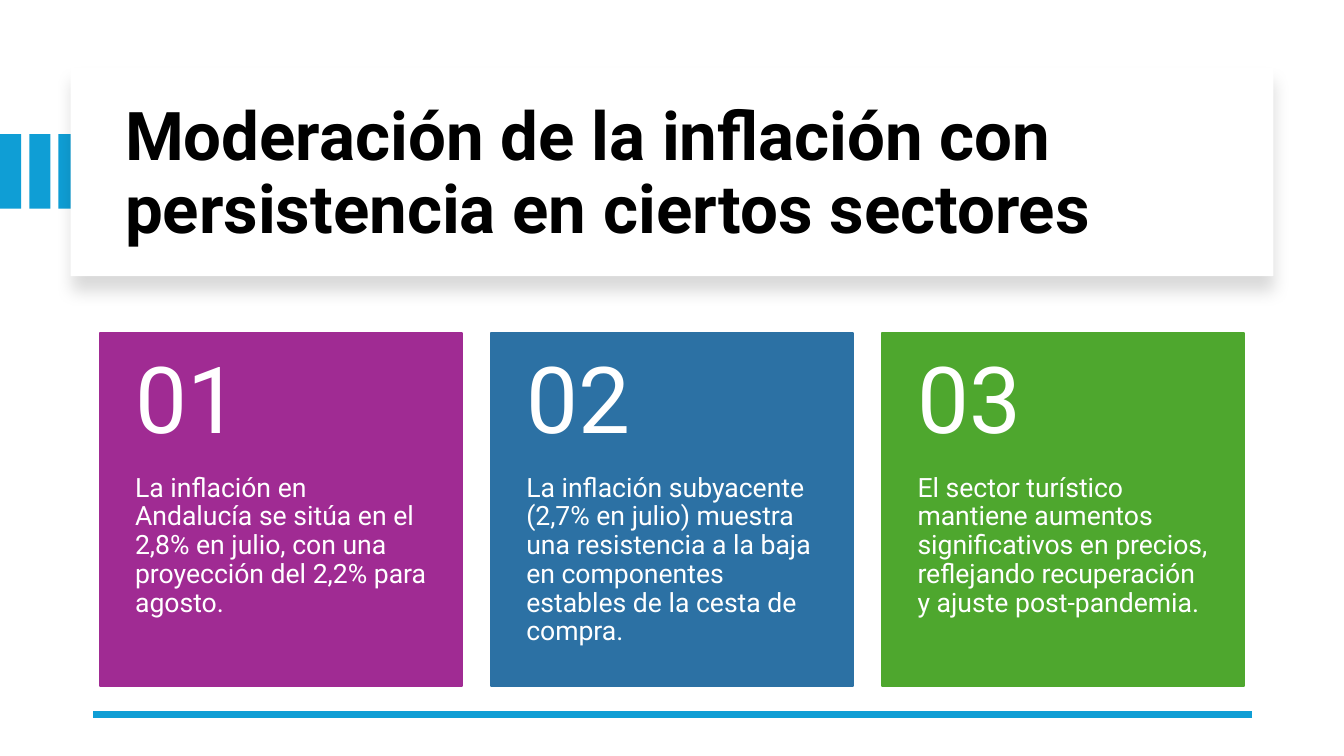
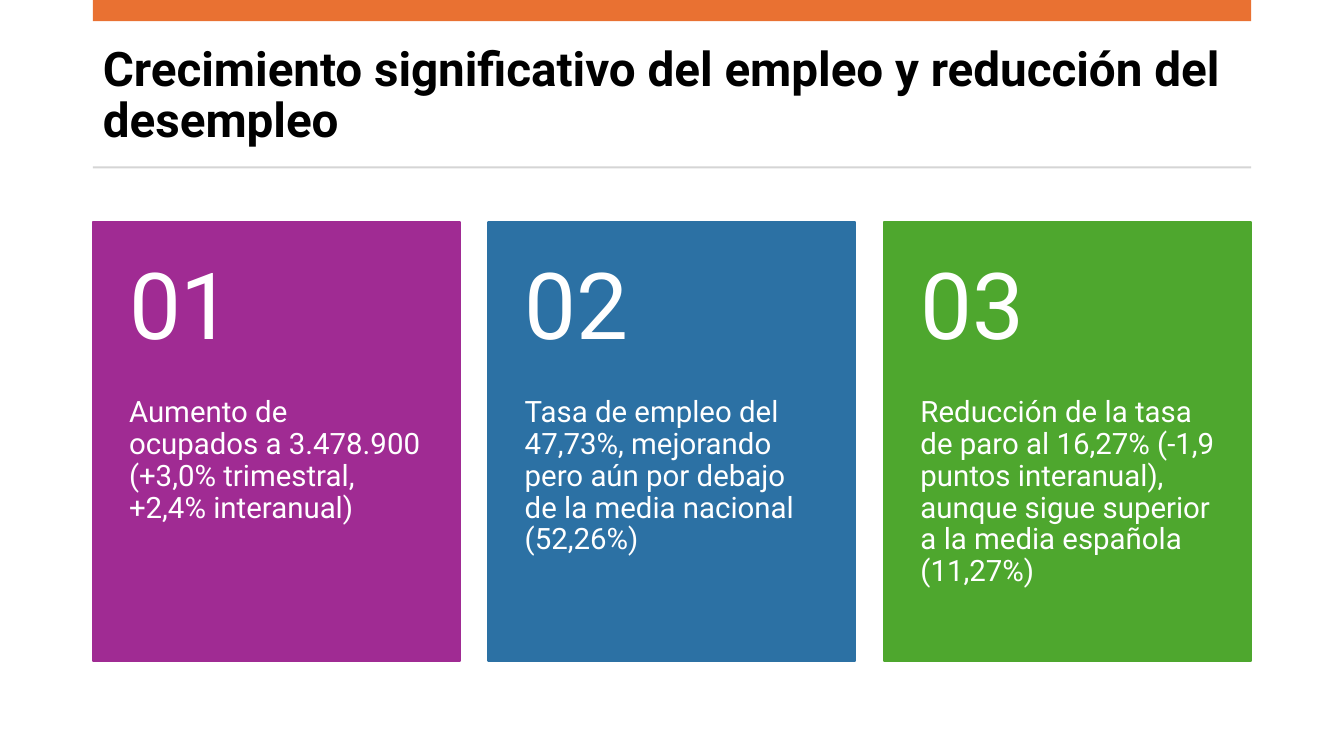
from lxml import etree
from pptx import Presentation
from pptx.dml.color import RGBColor
from pptx.enum.shapes import MSO_CONNECTOR, MSO_SHAPE
from pptx.enum.text import MSO_ANCHOR, MSO_AUTO_SIZE, PP_ALIGN
from pptx.oxml import parse_xml
from pptx.oxml.ns import qn
from pptx.util import Inches, Pt

RECTANGLE, STRAIGHT = MSO_SHAPE.RECTANGLE, MSO_CONNECTOR.STRAIGHT
TOP, MIDDLE = MSO_ANCHOR.TOP, MSO_ANCHOR.MIDDLE
LEFT, NO_AUTOFIT = PP_ALIGN.LEFT, MSO_AUTO_SIZE.NONE

# Shared style
FONT = "Roboto"
color = RGBColor.from_string
BLACK, WHITE, GRAY = "000000", "FFFFFF", "D5D5D5"
BLUE, ORANGE = "0F9ED5", "E97132"
CARD_COLORS = ["A02B93", "2C71A4", "4EA72E"]
NUMBER_SHARE = 0.4
PANEL_SHADOW = (
    '<a:effectLst xmlns:a="http://schemas.openxmlformats.org/drawingml/2006/main">'
    '<a:outerShdw blurRad="139700" dist="127000" dir="5400000" rotWithShape="0">'
    '<a:srgbClr val="000000"><a:alpha val="15000"/></a:srgbClr>'
    '</a:outerShdw></a:effectLst>'
)

SLIDES = [
    {
        "title": "Moderación de la inflación con persistencia en ciertos sectores",
        "title_box": (1.14, 0.89, 11.13, 1.7),
        "title_size": 48,
        "cards_box": (0.99, 3.3, 11.35, 3.51),
        "card_width": 3.59,
        "inset": 0.35,
        "text_size": 19,
        "cards": [
            "La inflación en Andalucía se sitúa en el 2,8% en julio, con una proyección del 2,2% para agosto.",
            "La inflación subyacente (2,7% en julio) muestra una resistencia a la baja en componentes "
            "estables de la cesta de compra.",
            "El sector turístico mantiene aumentos significativos en precios, reflejando recuperación "
            "y ajuste post-pandemia.",
        ],
    },
    {
        "title": "Crecimiento significativo del empleo y reducción del desempleo",
        "title_box": (0.92, 0.37, 11.49, 1.18),
        "title_size": 34,
        "cards_box": (0.92, 2.2, 11.49, 4.36),
        "card_width": 3.64,
        "inset": 0.36,
        "text_size": 21,
        "cards": [
            "Aumento de ocupados a 3.478.900 (+3,0% trimestral, +2,4% interanual)",
            "Tasa de empleo del 47,73%, mejorando pero aún por debajo de la media nacional (52,26%)",
            "Reducción de la tasa de paro al 16,27% (-1,9 puntos interanual), aunque sigue superior "
            "a la media española (11,27%)",
        ],
    },
]


def add_rectangle(shapes, box, fill, outlined=False):
    shape = shapes.add_shape(RECTANGLE, *map(Inches, box))
    shape.shadow.inherit = False
    shape.fill.solid()
    shape.fill.fore_color.rgb = color(fill)
    if outlined:
        shape.line.color.rgb = color(fill)
        shape.line.width = Pt(1.5)
    else:
        shape.line.fill.background()
    return shape


def write_text(shape, text, size, text_color, anchor, insets, bold=False):
    frame = shape.text_frame
    margins = ("margin_left", "margin_top", "margin_right", "margin_bottom")
    frame_format = {"word_wrap": True, "auto_size": NO_AUTOFIT, "vertical_anchor": anchor}
    frame_format.update(zip(margins, map(Inches, insets)))
    for name, value in frame_format.items():
        setattr(frame, name, value)
    paragraph = frame.paragraphs[0]
    paragraph.alignment = LEFT
    paragraph.line_spacing = 0.9
    run = paragraph.add_run()
    run.text = text
    for name, value in {"name": FONT, "size": Pt(size), "bold": bold}.items():
        setattr(run.font, name, value)
    run.font.color.rgb = color(text_color)


presentation = Presentation()
presentation.slide_width = Inches(13.33)
presentation.slide_height = Inches(7.5)
title_only = presentation.slide_layouts[5]
slides = [presentation.slides.add_slide(title_only) for content in SLIDES]
inflation, employment = slides

# Inflation slide: blue bars, shadowed title panel, bottom line
for index in range(3):
    add_rectangle(inflation.shapes, (index * 0.29, 1.33, 0.21, 0.74), BLUE)
panel = add_rectangle(inflation.shapes, (0.7, 0.67, 11.93, 2.07), WHITE)
panel_properties = panel._element.spPr
panel_properties.replace(panel_properties.find(qn("a:effectLst")), parse_xml(PANEL_SHADOW))

bottom_line = inflation.shapes.add_connector(
    STRAIGHT, Inches(12.42), Inches(7.09), Inches(0.92), Inches(7.09))
bottom_line.line.color.rgb = color(BLUE)
bottom_line.line.width = Pt(4.5)
etree.SubElement(bottom_line._element.spPr, qn("a:effectLst"))

# Employment slide: top band and rule under the title
add_rectangle(employment.shapes, (0.92, 0, 11.49, 0.21), ORANGE)
add_rectangle(employment.shapes, (0.92, 1.65, 11.49, 0.02), GRAY)

for slide, content in zip(slides, SLIDES):
    # Title, brought in front of its panel
    title = slide.shapes.title
    slide.shapes._spTree.append(title._element)
    for name, value in zip(("left", "top", "width", "height"), content["title_box"]):
        setattr(title, name, Inches(value))
    write_text(title, content["title"], content["title_size"], BLACK, MIDDLE,
               (0.1, 0.05, 0.1, 0.05), bold=True)

    # Numbered cards, spread evenly over their row
    left, top, row_width, height = content["cards_box"]
    width, inset = content["card_width"], content["inset"]
    step = (row_width - width) / (len(content["cards"]) - 1)
    number_height = height * NUMBER_SHARE
    cards = slide.shapes.add_group_shape().shapes
    for index, (text, fill) in enumerate(zip(content["cards"], CARD_COLORS)):
        card_left = left + index * step
        add_rectangle(cards, (card_left, top, width, height), fill, outlined=True)
        body_box = (card_left, top + number_height, width, height - number_height)
        body = cards.add_textbox(*map(Inches, body_box))
        write_text(body, text, content["text_size"], WHITE, TOP, (inset, 0, inset, inset))
        number = cards.add_textbox(*map(Inches, (card_left, top, width, number_height)))
        write_text(number, f"{index + 1:02}", 66, WHITE, MIDDLE, (inset, 0.18, inset, 0.18))

presentation.save("out.pptx")
